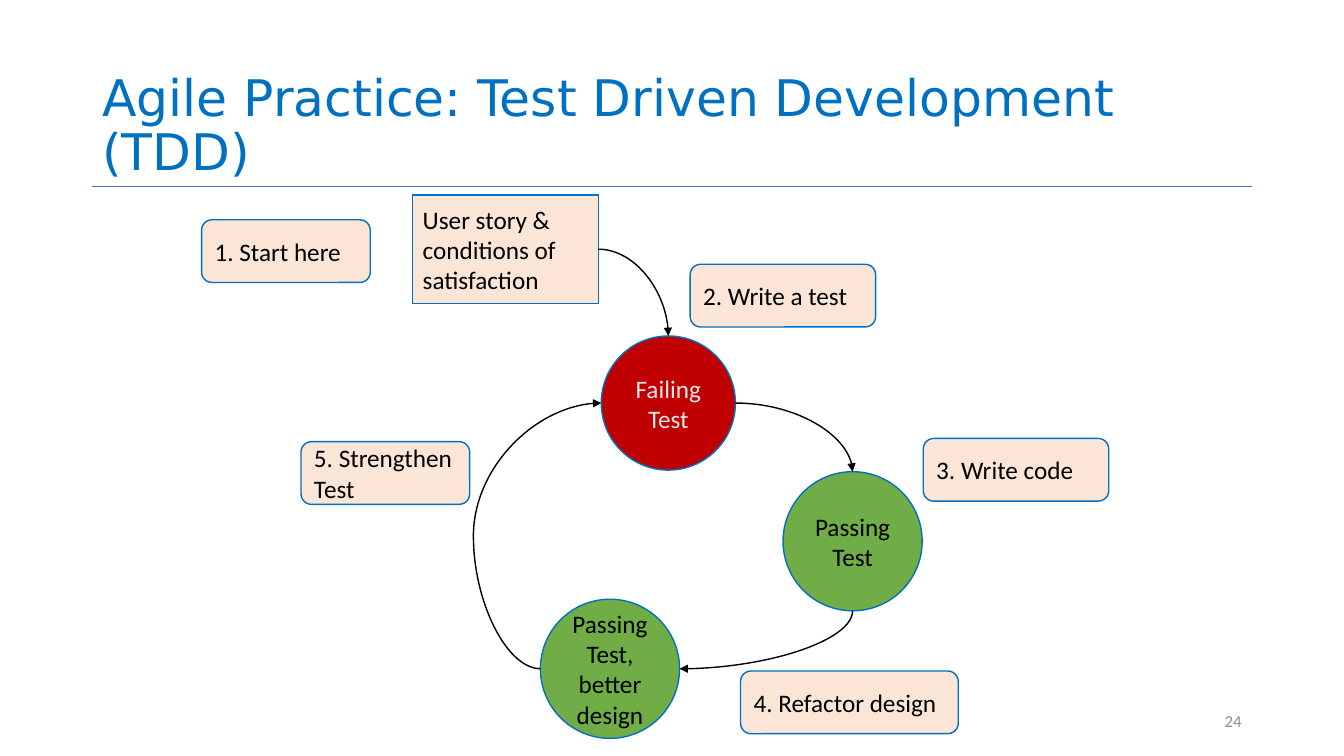
from pptx import Presentation
from pptx.dml.color import RGBColor
from pptx.enum.shapes import MSO_CONNECTOR, MSO_SHAPE
from pptx.enum.text import MSO_ANCHOR, PP_ALIGN
from pptx.oxml.ns import qn
from pptx.util import Pt
from lxml.etree import SubElement

BLUE = RGBColor(0x00, 0x70, 0xC0)
RULE_BLUE = RGBColor(0x44, 0x72, 0xC4)
PEACH = RGBColor(0xFB, 0xE5, 0xD6)
RED = RGBColor(0xC0, 0x00, 0x00)
GREEN = RGBColor(0x70, 0xAD, 0x47)
BLACK = RGBColor(0x00, 0x00, 0x00)
PALE = RGBColor(0xE7, 0xE6, 0xE6)
GREY = RGBColor(0x8C, 0x8C, 0x8C)


def write_text(box, text, size=18, font="Calibri", color=BLACK,
               align=PP_ALIGN.LEFT, anchor=MSO_ANCHOR.MIDDLE, spacing=None):
    frame = box.text_frame
    frame.word_wrap = True
    frame.vertical_anchor = anchor
    para = frame.paragraphs[0]
    para.alignment = align
    para.line_spacing = spacing
    span = para.add_run()
    span.text = text
    span.font.size = Pt(size)
    span.font.name = font
    span.font.color.rgb = color


def side_point(shape, side):
    """Middle of a side of the shape's frame, in points."""
    across, down = {"top": (0.5, 0), "left": (0, 0.5),
                    "bottom": (0.5, 1), "right": (1, 0.5)}[side]
    return ((shape.left + across * shape.width) / Pt(1),
            (shape.top + down * shape.height) / Pt(1))


class Diagram:
    line_width = 1
    outline = BLUE

    def __init__(self, page):
        self.page = page

    def text(self, left, top, width, height, text, **style):
        box = self.page.shapes.add_textbox(Pt(left), Pt(top), Pt(width), Pt(height))
        write_text(box, text, **style)

    def shape(self, kind, left, top, width, height, text, fill=PEACH, **style):
        box = self.page.shapes.add_shape(kind, Pt(left), Pt(top), Pt(width), Pt(height))
        box.shadow.inherit = False
        box.fill.solid()
        box.fill.fore_color.rgb = fill
        box.line.color.rgb = self.outline
        box.line.width = Pt(self.line_width)
        write_text(box, text, **style)
        return box

    def step(self, left, top, width, text):
        self.shape(MSO_SHAPE.ROUNDED_RECTANGLE, left, top, width, 44.8, text)

    def state(self, left, top, size, text, fill, color=BLACK):
        return self.shape(MSO_SHAPE.OVAL, left, top, size, size, text, fill=fill,
                          color=color, align=PP_ALIGN.CENTER)

    def line(self, kind, start, end, color, width):
        line = self.page.shapes.add_connector(
            kind, *(Pt(value) for value in (*start, *end)))
        line.line.color.rgb = color
        line.line.width = Pt(width)
        SubElement(line._element.spPr, qn("a:effectLst"))
        return line

    def arrow(self, start, end, quarter=True, down_first=False, bulge=None):
        """Curved arrow: a quarter arc, or a C shape with a bulge ratio."""
        if down_first:
            # Frame before its quarter turn about the same centre
            middle_x, middle_y = (start[0] + end[0]) / 2, (start[1] + end[1]) / 2
            half_x, half_y = (end[1] - start[1]) / 2, (start[0] - end[0]) / 2
            start = middle_x - half_x, middle_y - half_y
            end = middle_x + half_x, middle_y + half_y
        arrow = self.line(MSO_CONNECTOR.CURVE, start, end, BLACK, self.line_width)
        properties = arrow._element.spPr
        geometry = properties.find(qn("a:prstGeom"))
        if down_first:
            properties.find(qn("a:xfrm")).set("rot", str(90 * 60000))
        if quarter:
            geometry.set("prst", "curvedConnector2")
        else:
            guides = geometry.find(qn("a:avLst"))
            SubElement(guides, qn("a:gd"), name="adj1",
                       fmla=f"val {round(bulge * 100000)}")
        SubElement(properties.find(qn("a:ln")), qn("a:tailEnd"), type="triangle")


def main():
    deck = Presentation()
    deck.slide_width, deck.slide_height = Pt(960), Pt(540)
    page = deck.slides.add_slide(deck.slide_layouts[6])
    diagram = Diagram(page)

    # Title, rule and page number
    diagram.line(MSO_CONNECTOR.STRAIGHT, (66, 133.2), (894, 133.2), RULE_BLUE, 0.5)
    diagram.text(66, 28.8, 828, 104.4, "Agile Practice: Test Driven Development (TDD)",
                 size=36, font="DejaVu Sans", color=BLUE,
                 anchor=MSO_ANCHOR.BOTTOM, spacing=0.9)
    diagram.text(678, 500.5, 216, 28.8, "24", size=12, color=GREY,
                 align=PP_ALIGN.RIGHT)

    # Story and numbered steps
    story = diagram.shape(MSO_SHAPE.RECTANGLE, 294.9, 139.2, 132.5, 77.6,
                          "User story & conditions of satisfaction")
    for left, top, width, text in (
            (144, 157, 120.5, "1. Start here"),
            (493, 188.8, 132.5, "2. Write a test"),
            (659.5, 313.2, 132.5, "3. Write code"),
            (529, 479.3, 155.5, "4. Refactor design"),
            (215, 315.5, 120.5, "5. Strengthen Test")):
        diagram.step(left, top, width, text)

    # Test states
    failing = diagram.state(429.5, 240, 95.8, "Failing Test", RED, PALE)
    passing = diagram.state(559.3, 336.9, 99.4, "Passing Test", GREEN)
    better = diagram.state(386, 428, 99.4, "Passing Test, better design", GREEN)

    # Cycle of arrows
    diagram.arrow(side_point(story, "right"), side_point(failing, "top"))
    diagram.arrow(side_point(passing, "bottom"), side_point(better, "right"),
                  down_first=True)
    diagram.arrow(side_point(failing, "right"), side_point(passing, "top"))
    diagram.arrow(side_point(better, "left"), side_point(failing, "left"),
                  quarter=False, bulge=-1.1)

    deck.save("out.pptx")


if __name__ == "__main__":
    main()
